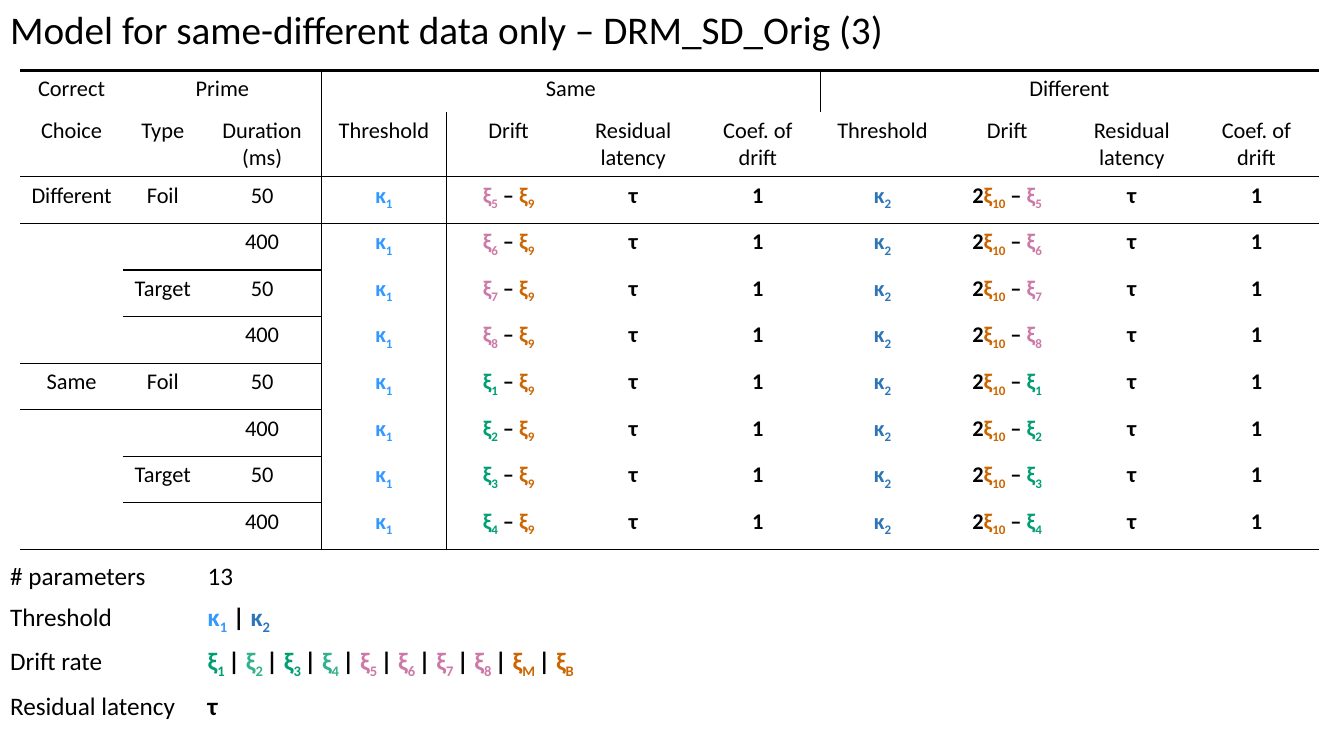
"""Build a slide that lists the parameters of a same-different model."""
from pptx import Presentation
from pptx.dml.color import RGBColor
from pptx.enum.text import MSO_ANCHOR, PP_ALIGN
from pptx.oxml import parse_xml
from pptx.oxml.ns import nsdecls
from pptx.util import Inches, Pt

BLACK, SKY, BLUE = "000000", "3399FF", "2E75B6"
PINK, GREEN, MINT, RUST = "CC79A7", "009E73", "32B18E", "CC6600"
PLAIN = "{2D5ABB26-0587-4C30-8999-92F81FD0307C}"


def write(frame, parts, size, bold=False, align=PP_ALIGN.LEFT):
    """Fill a text frame with (text, colour, subscript) parts."""
    para = frame.paragraphs[0]
    para.alignment = align
    style = {"size": Pt(size), "bold": bold, "name": "Calibri"}
    for text, hue, low in parts:
        if text == "\n":
            para = frame.add_paragraph()
            para.alignment = align
            continue
        run = para.add_run()
        run.text = text
        for key, value in style.items():
            setattr(run.font, key, value)
        run.font.color.rgb = RGBColor.from_string(hue)
        if low:
            run.font._element.set("baseline", "-25000")


def grid(slide, place, widths, heights):
    """Add a table without a style and return it."""
    table = slide.shapes.add_table(
        len(heights), len(widths), *[Inches(n) for n in place]).table
    table.first_row = table.horz_banding = False
    table._tbl.tblPr[0].text = PLAIN
    for col, width in zip(table.columns, widths):
        col.width = Inches(width)
    for row, height in zip(table.rows, heights):
        row.height = Inches(height)
    return table


prs = Presentation()
prs.slide_width, prs.slide_height = Inches(13.33), Inches(7.5)
slide = prs.slides.add_slide(prs.slide_layouts[5])

title = slide.shapes.title
place = {"left": 0, "top": 0, "width": 8.96, "height": 0.57}
for key, value in place.items():
    setattr(title, key, Inches(value))
title.text_frame.word_wrap = False
title.text_frame.vertical_anchor = MSO_ANCHOR.TOP
write(title.text_frame,
      [("Model for same-different data only – DRM_SD_Orig (3)", BLACK, 0)], 28)

lead = [1.02, 0.79, 1.18]
wide = (12.88 - sum(lead)) / 8
model = grid(slide, (0.2, 0.7, 12.88, 4.75),
             lead + [wide] * 8, [0.41, 0.64] + [3.7 / 8] * 8)
for first, last in [(1, 2), (3, 6), (7, 10)]:
    model.cell(0, first).merge(model.cell(0, last))

labels = {(0, 0): "Correct", (0, 1): "Prime", (0, 3): "Same",
          (0, 7): "Different", (2, 0): "Different", (6, 0): "Same"}
heads = ["Threshold", "Drift", "Residual latency", "Coef. of|\n|drift"]
for col, text in enumerate(["Choice", "Type", "Duration (ms)"] + heads * 2):
    labels[1, col] = text
for row in range(2, 10):
    labels[row, 2] = "400" if row % 2 else "50"
    if row % 2 == 0:
        labels[row, 1] = "Target" if row % 4 == 0 else "Foil"
        if row not in (2, 6, 4, 8):
            del labels[row, 1]
for (row, col), text in labels.items():
    write(model.cell(row, col).text_frame,
          [(bit, BLACK, 0) for bit in text.split("|")],
          16, align=PP_ALIGN.CENTER)

for row, index in enumerate([5, 6, 7, 8, 1, 2, 3, 4], 2):
    hue = PINK if index > 4 else GREEN
    drift = [("ξ", hue, 0), (str(index), hue, 1)]
    dash = [(" – ", BLACK, 0)]
    tail = [[("τ", BLACK, 0)], [("1", BLACK, 0)]]
    same = [[("κ", SKY, 0), ("1", SKY, 1)],
            drift + dash + [("ξ", RUST, 0), ("9", RUST, 1)]]
    other = [[("κ", BLUE, 0), ("2", BLUE, 1)],
             [("2", BLACK, 0), ("ξ", RUST, 0), ("10", RUST, 1)] + dash + drift]
    for col, parts in enumerate(same + tail + other + tail, 3):
        write(model.cell(row, col).text_frame, parts, 16, True,
              PP_ALIGN.CENTER)

rules = {row: range(2, 3) for row in (2, 4, 6, 8)}
rules |= {1: range(11), 3: range(1, 3), 5: range(3), 7: range(1, 3),
          9: range(11)}
for row in range(10):
    for col in range(11):
        cell = model.cell(row, col)
        sides = {"L": col == 3,
                 "R": col == 2 or (row, col) == (0, 1),
                 "T": row == 0 or col in rules.get(row - 1, ()),
                 "B": col in rules.get(row, ())}
        for side, shown in sides.items():
            if shown:
                width = Pt(2.25 if side == "T" and row == 0 else 1)
                cell._tc.get_or_add_tcPr().append(parse_xml(
                    f'<a:ln{side} {nsdecls("a")} w="{width}"><a:solidFill>'
                    f'<a:srgbClr val="{BLACK}"/></a:solidFill></a:ln{side}>'))
        cell.fill.background()

rates = []
hues = [GREEN, MINT] * 2 + [PINK] * 4 + [RUST] * 2
for mark, hue in zip("12345678MB", hues):
    if rates:
        rates.append(("| ", BLACK, 0))
    rates += [("ξ", hue, 0), (mark if mark == "B" else mark + " ", hue, 1)]
counts = [("# parameters", [("13", BLACK, 0)]),
          ("Threshold", [("κ", SKY, 0), ("1", SKY, 1), (" | ", BLACK, 0),
                         ("κ", BLUE, 0), ("2", BLUE, 1)]),
          ("Drift rate", rates),
          ("Residual latency", [("τ", BLACK, 0)])]
key = grid(slide, (0, 5.52, 13.22, 1.98), [1.96, 11.26],
           [0.4, 0.44, 0.44, 0.4, 0.3])
for row, (name, parts) in enumerate(counts):
    write(key.cell(row, 0).text_frame, [(name, BLACK, 0)], 18)
    write(key.cell(row, 1).text_frame, parts, 18, row > 0)
for cell in key.iter_cells():
    cell.fill.solid()
    cell.fill.fore_color.rgb = RGBColor.from_string("FFFFFF")
for col in range(2):
    cell = key.cell(4, col)
    cell.margin_top = cell.margin_bottom = 0

prs.save("out.pptx")
